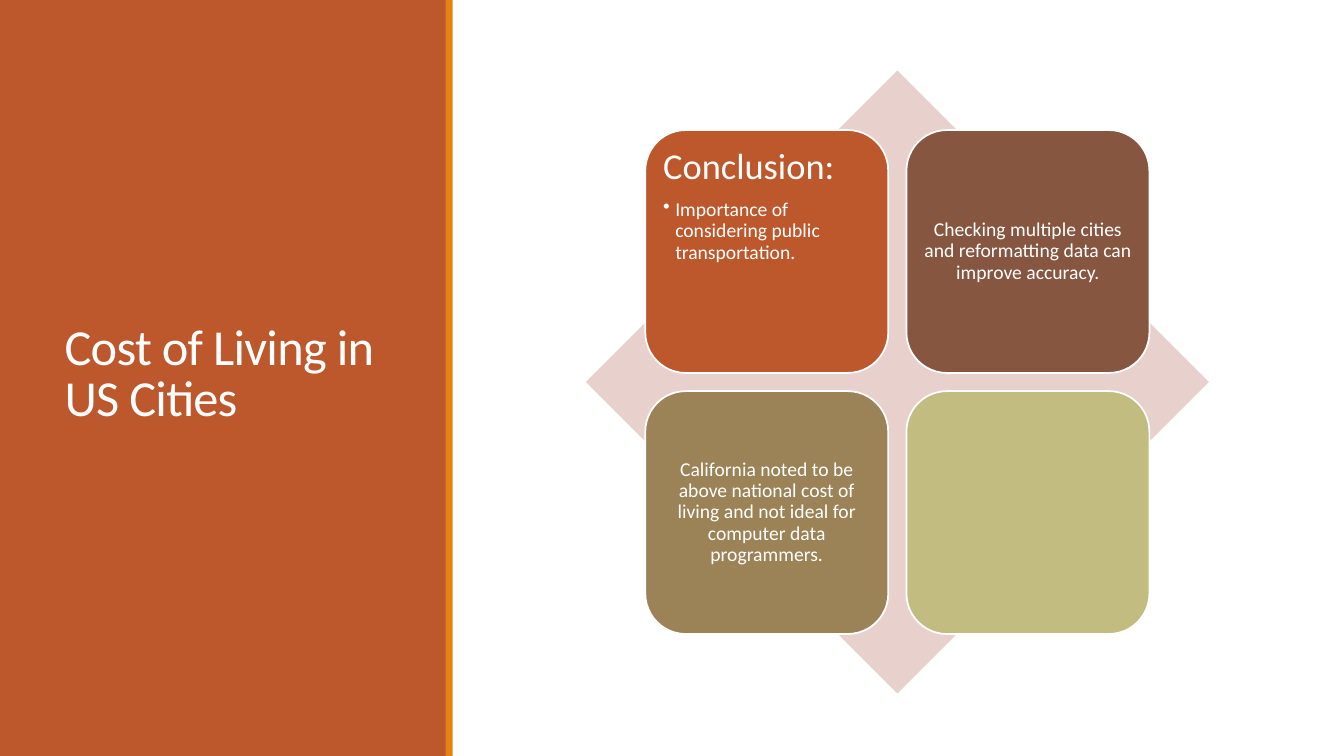
from lxml import etree
from pptx import Presentation
from pptx.dml.color import RGBColor
from pptx.enum.shapes import MSO_SHAPE
from pptx.enum.text import MSO_ANCHOR, MSO_AUTO_SIZE, PP_ALIGN
from pptx.oxml.ns import qn
from pptx.util import Inches, Pt

FONT = "Calibri"
WHITE = "FFFFFF"
RUST = "BD582C"
ORANGE = "E48312"
PALE_ROSE = "E8D1CD"
BROWN = "865640"
TAN = "9B8357"
OLIVE = "C2BC80"


def color(hex_value):
    return RGBColor.from_string(hex_value)


def add_box(slide, kind, left, top, width, height, fill, line=None):
    shape = slide.shapes.add_shape(
        kind, Inches(left), Inches(top), Inches(width), Inches(height))
    shape.shadow.inherit = False
    shape.fill.solid()
    shape.fill.fore_color.rgb = color(fill)
    if line:
        shape.line.color.rgb = color(line)
        shape.line.width = Pt(1.25)
    else:
        shape.line.fill.background()
    return shape


def add_text(paragraph, text, size, spacing, align=PP_ALIGN.LEFT):
    paragraph.alignment = align
    paragraph.line_spacing = spacing
    run = paragraph.add_run()
    run.text = text
    run.font.name = FONT
    run.font.size = Pt(size)
    run.font.color.rgb = color(WHITE)
    return run


def add_bullet(paragraph, indent):
    properties = paragraph._p.get_or_add_pPr()
    properties.set("marL", str(Inches(indent)))
    properties.set("indent", str(-Inches(indent)))
    etree.SubElement(properties, qn("a:buChar")).set("char", "•")


def add_title_panel(slide, left, top, width, height):
    # Coloured panel and its edge stripe, behind the title
    panel = add_box(slide, MSO_SHAPE.RECTANGLE, left, top, width, height, RUST)
    stripe = add_box(slide, MSO_SHAPE.RECTANGLE,
                     left + width - 0.01, top, 0.07, height, ORANGE)
    title = slide.shapes.title
    for shape in (panel, stripe):
        title.element.addprevious(shape.element)

    # Title
    title.left, title.top = Inches(left + 0.54), Inches(top + 0.57)
    title.width, title.height = Inches(3.37), Inches(6.31)
    frame = title.text_frame
    frame.word_wrap = True
    frame.auto_size = MSO_AUTO_SIZE.NONE
    frame.vertical_anchor = MSO_ANCHOR.MIDDLE
    run = add_text(frame.paragraphs[0], "Cost of Living in US Cities", 36, 0.85)
    run.font._element.set("spc", "-50")


def add_tile(slide, left, top, size, fill):
    tile = add_box(slide, MSO_SHAPE.ROUNDED_RECTANGLE,
                   left, top, size, size, fill, WHITE)
    frame = tile.text_frame
    frame.word_wrap = True
    frame.vertical_anchor = MSO_ANCHOR.MIDDLE
    frame.margin_left = frame.margin_right = Inches(0.06)
    frame.margin_top = frame.margin_bottom = Inches(0.06)
    return frame


def add_matrix(slide, left, top, size):
    # Diamond behind the tiles
    add_box(slide, MSO_SHAPE.DIAMOND, left, top, size, size, PALE_ROSE)

    # Two by two grid of tiles
    tile_size, step, inset = 2.41, 2.59, 0.59
    fills = (RUST, BROWN, TAN, OLIVE)
    frames = [
        add_tile(slide, left + inset + index % 2 * step,
                 top + inset + index // 2 * step, tile_size, fill)
        for index, fill in enumerate(fills)
    ]

    # Conclusion heading with its bullet
    conclusion, accuracy, california, _ = frames
    conclusion.vertical_anchor = MSO_ANCHOR.TOP
    heading = conclusion.paragraphs[0]
    add_text(heading, "Conclusion:", 26, 0.9)
    heading.space_after = Pt(9)
    bullet = conclusion.add_paragraph()
    bullet.level = 1
    add_text(bullet, "Importance of considering public transportation.", 14, 0.9)
    add_bullet(bullet, 0.12)

    # Centred statements
    statements = (
        (accuracy, "Checking multiple cities and reformatting data can "
                   "improve accuracy."),
        (california, "California noted to be above national cost of living "
                     "and not ideal for computer data programmers."),
    )
    for frame, text in statements:
        add_text(frame.paragraphs[0], text, 14, 0.9, PP_ALIGN.CENTER)


def main():
    presentation = Presentation()
    presentation.slide_width = Inches(13.33)
    presentation.slide_height = Inches(7.5)
    slide = presentation.slides.add_slide(presentation.slide_layouts[5])
    slide.background.fill.solid()
    slide.background.fill.fore_color.rgb = color(WHITE)
    add_title_panel(slide, 0, 0, 4.43, 7.5)
    add_matrix(slide, 5.81, 0.7, 6.18)
    presentation.save("out.pptx")


if __name__ == "__main__":
    main()
